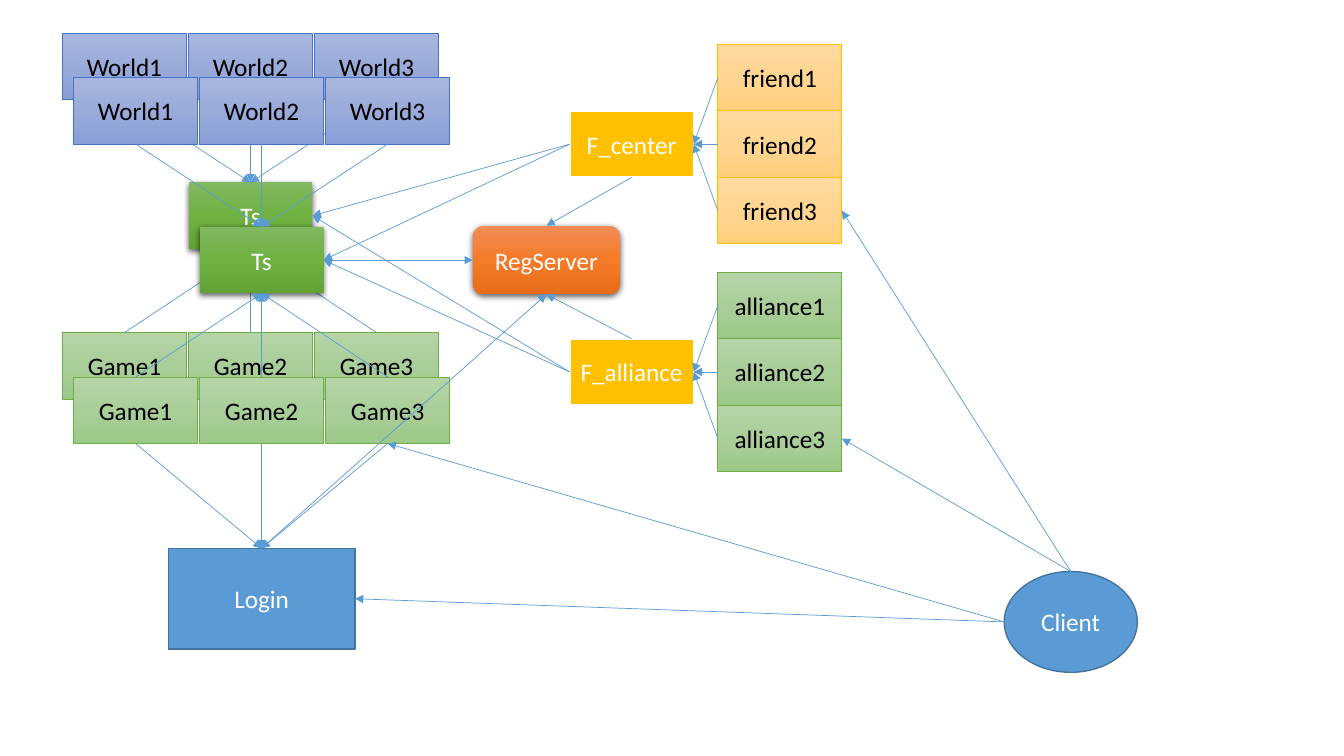
from copy import deepcopy

from lxml import etree
from pptx import Presentation
from pptx.dml.color import RGBColor
from pptx.enum.shapes import MSO_CONNECTOR, MSO_SHAPE
from pptx.enum.text import MSO_ANCHOR, PP_ALIGN
from pptx.oxml.ns import qn
from pptx.util import Inches, Pt

RECTANGLE = MSO_SHAPE.RECTANGLE
ROUNDED = MSO_SHAPE.ROUNDED_RECTANGLE
OVAL = MSO_SHAPE.OVAL
STRAIGHT = MSO_CONNECTOR.STRAIGHT
MIDDLE = MSO_ANCHOR.MIDDLE
CENTER = PP_ALIGN.CENTER
TOP, LEFT, BOTTOM, RIGHT = range(4)

COLORS = {
    "white": "FFFFFF", "black": "000000", "blue": "5B9BD5", "blue edge": "43739E",
    "world edge": "4472C4", "green edge": "70AD47", "gold": "FFC000",
}
GRADIENTS = {
    "ts": ("81B861", "6FB242", "62A336"),
    "world": ("A8B7DF", "9AABD9", "889ED7"),
    "friend": ("FFDB9E", "FFD590", "FFD07C"),
    "green": ("B5D5A7", "AACE9A", "9CC987"),
    "register": ("F18C57", "F67B28", "E56C19"),
}
STYLES = {
    "ts": {"gradient": "ts", "text": "white", "shadow": True},
    "world": {"gradient": "world", "edge": "world edge", "text": "black"},
    "friend": {"gradient": "friend", "edge": "gold", "text": "black"},
    "green": {"gradient": "green", "edge": "green edge", "text": "black"},
    "center": {"fill": "gold", "edge": "white", "weight": 1.5, "text": "white"},
    "register": {"gradient": "register", "text": "white", "shadow": True},
    "endpoint": {"fill": "blue", "edge": "blue edge", "weight": 1, "text": "white"},
}
FONT = {"name": "Calibri", "size": Pt(18)}
FRAME = {
    "word_wrap": True, "vertical_anchor": MIDDLE,
    "margin_left": Inches(0.05), "margin_right": Inches(0.05),
}
WIDTH, HEIGHT, STEP = 1.23, 0.66, 1.25


def rgb(name):
    return RGBColor.from_string(COLORS[name])


def side_point(shape, side):
    across = {LEFT: 0, RIGHT: shape.width}.get(side, shape.width // 2)
    down = {TOP: 0, BOTTOM: shape.height}.get(side, shape.height // 2)
    return shape.left + across, shape.top + down


class Diagram:
    def __init__(self, page):
        self.page = page

    def box(self, label, style, left, top, width=WIDTH, height=HEIGHT, kind=RECTANGLE):
        look = STYLES[style]
        shape = self.page.shapes.add_shape(
            kind, Inches(left), Inches(top), Inches(width), Inches(height))
        shape.shadow.inherit = False
        if "gradient" in look:
            self.shade(shape, GRADIENTS[look["gradient"]])
        else:
            shape.fill.solid()
            shape.fill.fore_color.rgb = rgb(look["fill"])
        if "edge" in look:
            shape.line.color.rgb = rgb(look["edge"])
            shape.line.width = Pt(look.get("weight", 0.5))
        else:
            shape.line.fill.background()
        if look.get("shadow"):
            self.drop_shadow(shape)
        self.caption(shape.text_frame, label, look["text"])
        return shape

    def shade(self, shape, tones):
        shape.fill.gradient()
        shape.fill.gradient_angle = 270
        stops = shape._element.spPr.find(".//" + qn("a:gsLst"))
        stops.insert(1, deepcopy(stops[0]))
        for stop, position, tone in zip(shape.fill.gradient_stops, (0, 0.5, 1), tones):
            stop.position = position
            stop.color.rgb = RGBColor.from_string(tone)

    def drop_shadow(self, shape):
        effects = shape._element.spPr.find(qn("a:effectLst"))
        shadow = etree.SubElement(
            effects, qn("a:outerShdw"), blurRad=str(Pt(4.5)), dist=str(Pt(1.5)),
            dir="5400000", algn="ctr", rotWithShape="0")
        color = etree.SubElement(shadow, qn("a:srgbClr"), val=COLORS["black"])
        etree.SubElement(color, qn("a:alpha"), val="63000")

    def caption(self, frame, label, color):
        for name, value in FRAME.items():
            setattr(frame, name, value)
        para = frame.paragraphs[0]
        para.alignment = CENTER
        span = para.add_run()
        span.text = label
        for name, value in FONT.items():
            setattr(span.font, name, value)
        span.font.color.rgb = rgb(color)

    def arrow(self, start, start_side, end, end_side):
        begin = side_point(start, start_side)
        line = self.page.shapes.add_connector(
            STRAIGHT, *begin, *side_point(end, end_side))
        sites_per_side = 2 if start.auto_shape_type == OVAL else 1
        line.begin_connect(start, start_side * sites_per_side)
        line.end_connect(end, end_side)
        line.begin_x, line.begin_y = begin
        line.line.color.rgb = rgb("blue")
        line.line.width = Pt(0.5)
        properties = line._element.spPr
        etree.SubElement(properties.find(qn("a:ln")), qn("a:tailEnd"), type="triangle")
        etree.SubElement(properties, qn("a:effectLst"))

    def row(self, name, style, left, top):
        return [self.box(f"{name}{i + 1}", style, left + i * STEP, top) for i in range(3)]

    def column(self, name, style, left, top):
        return [self.box(f"{name}{i + 1}", style, left, top + i * HEIGHT) for i in range(3)]

    def cluster(self, left, top):
        ts = self.box("Ts", "ts", left + STEP, top + 1.48)
        worlds = self.row("World", "world", left, top)
        games = self.row("Game", "green", left, top + 2.97)
        for world, game in zip(worlds, games):
            self.arrow(world, BOTTOM, ts, TOP)
            self.arrow(game, TOP, ts, BOTTOM)
        return ts, games

    def service(self, center_name, name, style, top):
        center = self.box(center_name, "center", 5.65, top + HEIGHT)
        members = self.column(name, style, 7.12, top)
        for member in members:
            self.arrow(member, LEFT, center, RIGHT)
        return center, members


deck = Presentation()
deck.slide_width, deck.slide_height = Inches(13.33), Inches(7.5)
diagram = Diagram(deck.slides.add_slide(deck.slide_layouts[6]))

f_center, friends = diagram.service("F_center", "friend", "friend", 0.44)
f_alliance, alliances = diagram.service("F_alliance", "alliance", "green", 2.7)
for left, top in ((0.62, 0.33), (0.73, 0.77)):
    ts, games = diagram.cluster(left, top)
    for center in (f_center, f_alliance):
        diagram.arrow(center, LEFT, ts, RIGHT)

client = diagram.box("Client", "endpoint", 9.96, 5.67, 1.32, 1, OVAL)
login = diagram.box("Login", "endpoint", 1.67, 5.44, 1.85, 1)
for game in games:
    diagram.arrow(game, BOTTOM, login, TOP)
diagram.arrow(client, LEFT, login, RIGHT)
diagram.arrow(client, LEFT, games[-1], BOTTOM)
for members in (alliances, friends):
    diagram.arrow(client, TOP, members[-1], RIGHT)

register = diagram.box("RegServer", "register", 4.69, 2.24, 1.46, 0.68, ROUNDED)
diagram.arrow(f_center, BOTTOM, register, TOP)
diagram.arrow(ts, RIGHT, register, LEFT)
diagram.arrow(f_alliance, TOP, register, BOTTOM)
diagram.arrow(login, TOP, register, BOTTOM)

deck.save("out.pptx")
